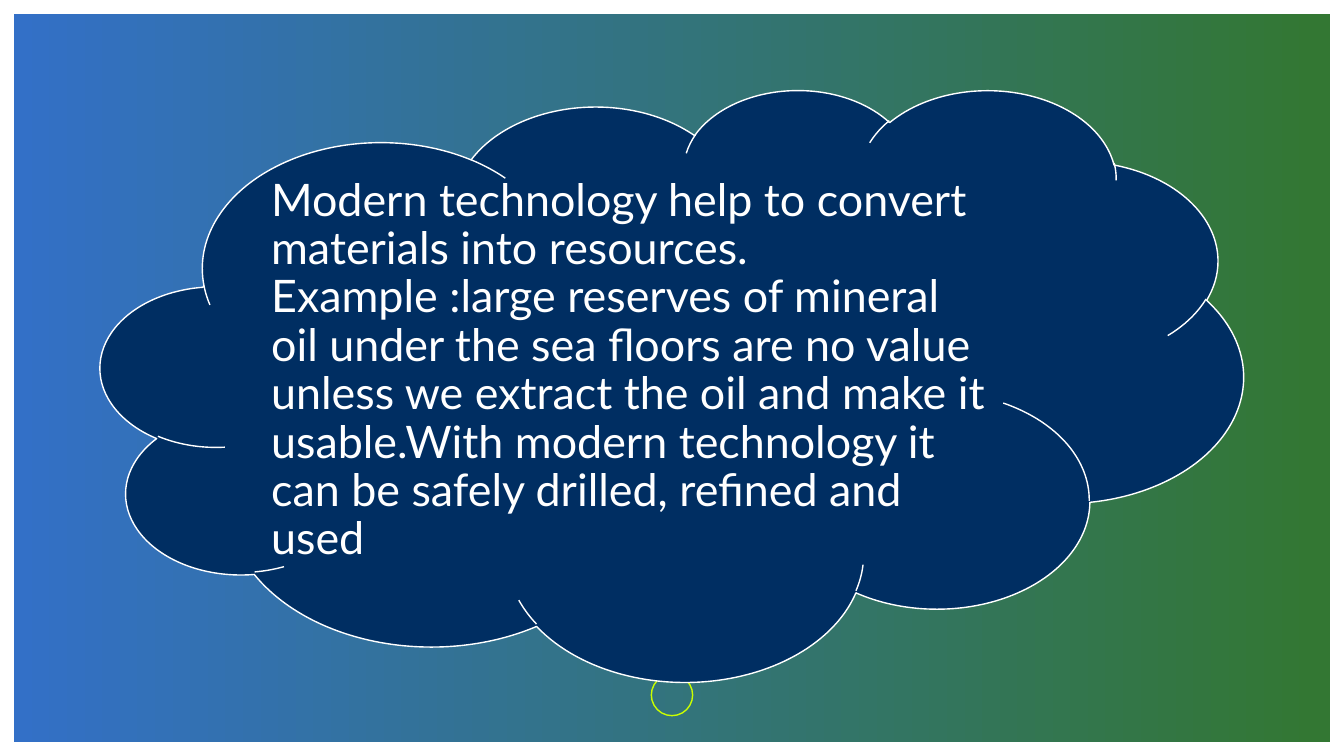
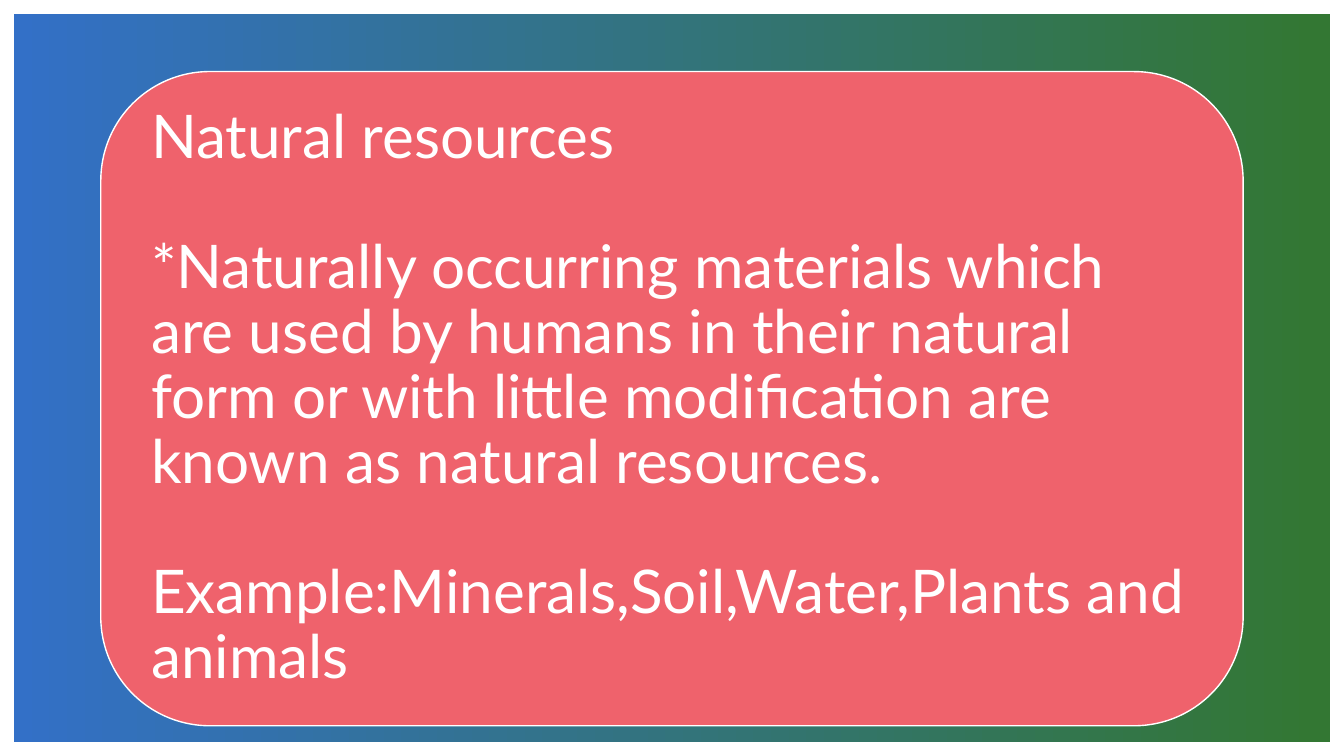
from pptx import Presentation
from pptx.dml.color import RGBColor
from pptx.enum.shapes import MSO_SHAPE
from pptx.enum.text import MSO_ANCHOR
from pptx.util import Inches, Pt

WHITE, NAVY, CORAL, LIME = "FFFFFF", "002E62", "EF626C", "CBFF00"
BACKDROP_STOPS = [("3370C7", 0), ("337733", 0.99)]
FONT = "Lato"
LINE_SPACING = 0.9
LINE_HEIGHT = 1.2  # natural line height of the font, in ems


def color(hex_value):
    return RGBColor.from_string(hex_value)


def add_figure(page, preset, bounds, fill=None, line=None):
    """Add a preset shape with an optional solid fill and 1 pt outline."""
    figure = page.shapes.add_shape(preset, *map(Inches, bounds))
    figure.shadow.inherit = False
    if fill:
        figure.fill.solid()
        figure.fill.fore_color.rgb = color(fill)
    else:
        figure.fill.background()
    if line:
        figure.line.color.rgb = color(line)
        figure.line.width = Pt(1)
    else:
        figure.line.fill.background()
    return figure


slides = [
    {
        "ring": True,
        "panel": (MSO_SHAPE.CLOUD, (1, 0.88, 11.33, 5.87), NAVY),
        "text_bounds": (2.56, 1.77, 7.4, 3.82),
        "inset": 0.13,
        "size": 32,
        "blank_lines": 0,
        "paragraphs": [
            "Modern technology help to convert materials into resources.",
            "Example :large reserves of mineral oil under the sea floors are no value "
            "unless we extract the oil and make it usable.With modern technology it can "
            "be safely drilled, refined and used",
        ],
    },
    {
        "ring": False,
        "panel": (MSO_SHAPE.ROUNDED_RECTANGLE, (1, 0.71, 11.33, 6.49), CORAL),
        "text_bounds": (1.32, 1.03, 10.7, 5.86),
        "inset": 0.18,
        "size": 43,
        "blank_lines": 1,
        "paragraphs": [
            "Natural resources",
            "*Naturally occurring materials which are used by humans in their natural "
            "form or with little modification are known as natural resources.",
            "Example:Minerals,Soil,Water,Plants and animals",
        ],
    },
]

deck = Presentation()
deck.slide_width, deck.slide_height = Inches(13.33), Inches(7.5)

for content in slides:
    page = deck.slides.add_slide(deck.slide_layouts[6])

    backdrop = add_figure(page, MSO_SHAPE.RECTANGLE, (0.14, 0.14, 13.05, 7.22))
    backdrop.fill.gradient()
    backdrop.fill.gradient_angle = 0
    for stop, (hex_value, position) in zip(backdrop.fill.gradient_stops, BACKDROP_STOPS):
        stop.color.rgb = color(hex_value)
        stop.position = position

    if content["ring"]:
        add_figure(page, MSO_SHAPE.OVAL, (6.46, 6.69, 0.41, 0.41), line=LIME)
    preset, bounds, fill = content["panel"]
    add_figure(page, preset, bounds, fill, WHITE)

    box = page.shapes.add_textbox(*map(Inches, content["text_bounds"]))
    frame = box.text_frame
    frame.word_wrap = True
    frame.vertical_anchor = MSO_ANCHOR.MIDDLE
    for side in ("left", "top", "right", "bottom"):
        setattr(frame, f"margin_{side}", Inches(content["inset"]))

    text_format = {"name": FONT, "size": Pt(content["size"])}
    gap = Pt(content["blank_lines"] * content["size"] * LINE_HEIGHT * LINE_SPACING)
    for index, text in enumerate(content["paragraphs"]):
        para = frame.add_paragraph() if index else frame.paragraphs[0]
        para.line_spacing = LINE_SPACING
        para.space_before = gap if index else Pt(0)
        span = para.add_run()
        span.text = text
        for attribute, value in text_format.items():
            setattr(span.font, attribute, value)
        span.font.color.rgb = color(WHITE)

deck.save("out.pptx")
